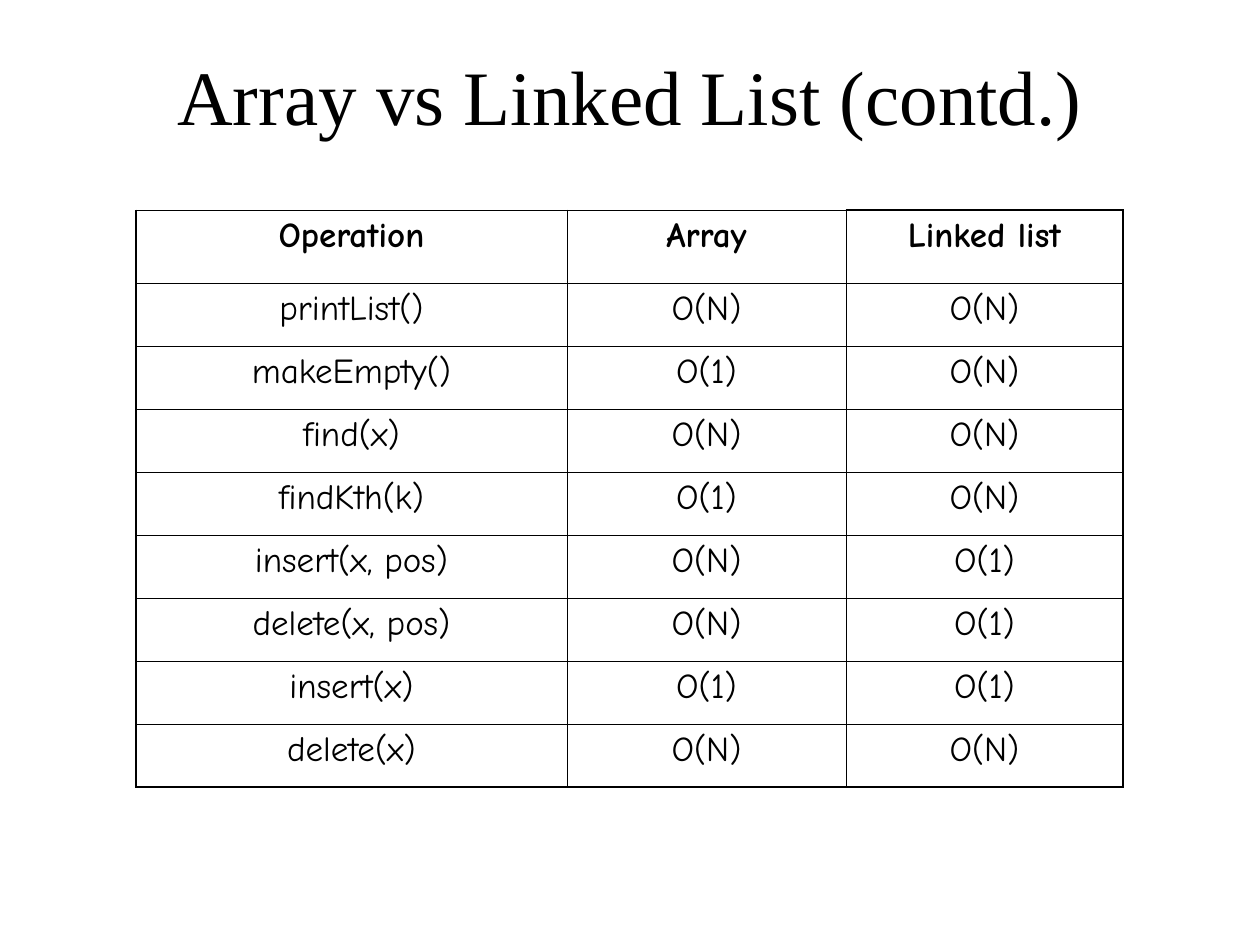
import pptx
import pptx.util
import pptx.dml.color
import pptx.enum.text
import pptx.oxml
import pptx.oxml.ns

PX = 914400 / 126
BLACK = pptx.dml.color.RGBColor(0, 0, 0)
THIN, THICK = 0.45, 1.08
HEAD = ("Operation", "Array", "Linked list")
ROWS = (
    ("printList()", "O(N)", "O(N)"),
    ("makeEmpty()", "O(1)", "O(N)"),
    ("find(x)", "O(N)", "O(N)"),
    ("findKth(k)", "O(1)", "O(N)"),
    ("insert(x, pos)", "O(N)", "O(1)"),
    ("delete(x, pos)", "O(N)", "O(1)"),
    ("insert(x)", "O(1)", "O(1)"),
    ("delete(x)", "O(N)", "O(N)"),
)


def px(num):
    """Turn whole pixels into EMU."""
    return pptx.util.Emu(round(num * PX))


def write(frame, text, font="Comic Neue", size=20, bold=False, color=BLACK):
    """Put one centred line of formatted text into a frame."""
    frame.text = text
    para = frame.paragraphs[0]
    para.alignment = pptx.enum.text.PP_ALIGN.CENTER
    style = para.runs[0].font
    style.name, style.size = font, pptx.util.Pt(size)
    style.bold = bold
    style.color.rgb = color


def edge(cell, **widths):
    """Draw the cell borders, given as L, R, T and B in points."""
    props = cell._tc.get_or_add_tcPr()
    for i, (side, width) in enumerate(widths.items()):
        line = pptx.oxml.parse_xml(
            f'<a:ln{side} {pptx.oxml.ns.nsdecls("a")} w="{pptx.util.Pt(width)}">'
            f'<a:solidFill><a:srgbClr val="{BLACK}"/></a:solidFill></a:ln{side}>'
        )
        props.insert(i, line)


def title(slide, text, left, top, width, height):
    """Place the slide title in its box."""
    shape = slide.shapes.title
    shape.left, shape.top = px(left), px(top)
    shape.width, shape.height = px(width), px(height)
    shape.text_frame.vertical_anchor = pptx.enum.text.MSO_ANCHOR.MIDDLE
    write(shape.text_frame, text, font="Times New Roman", size=44)


def grid(slide, rows, left, top, widths, heights):
    """Place the table of running times."""
    box = map(px, (left, top, sum(widths), sum(heights)))
    table = slide.shapes.add_table(len(rows), len(widths), *box).table
    table.first_row = table.horz_banding = False
    for col, width in zip(table.columns, widths):
        col.width = px(width)
    for row, height in zip(table.rows, heights):
        row.height = px(height)
    end, foot = len(widths) - 1, len(rows) - 1
    for r, row in enumerate(rows):
        for c, text in enumerate(row):
            cell = table.cell(r, c)
            cell.fill.background()
            write(cell.text_frame, text, bold=r == 0)
            edge(
                cell,
                L=THICK if c == 0 else THIN,
                R=THICK if c == end else THIN,
                T=THICK if (r, c) == (0, end) else THIN,
                B=THICK if r == foot else THIN,
            )


def main():
    """Build and save the slide."""
    deck = pptx.Presentation()
    deck.slide_width, deck.slide_height = px(1260), px(945)
    slide = deck.slides.add_slide(deck.slide_layouts[5])
    title(slide, "Array vs Linked List (contd.)", 94, 32, 1072, 126)
    heights = [73] + [63] * len(ROWS)
    grid(slide, (HEAD, *ROWS), 136, 210, (431, 279, 277), heights)
    deck.save("out.pptx")


if __name__ == "__main__":
    main()
